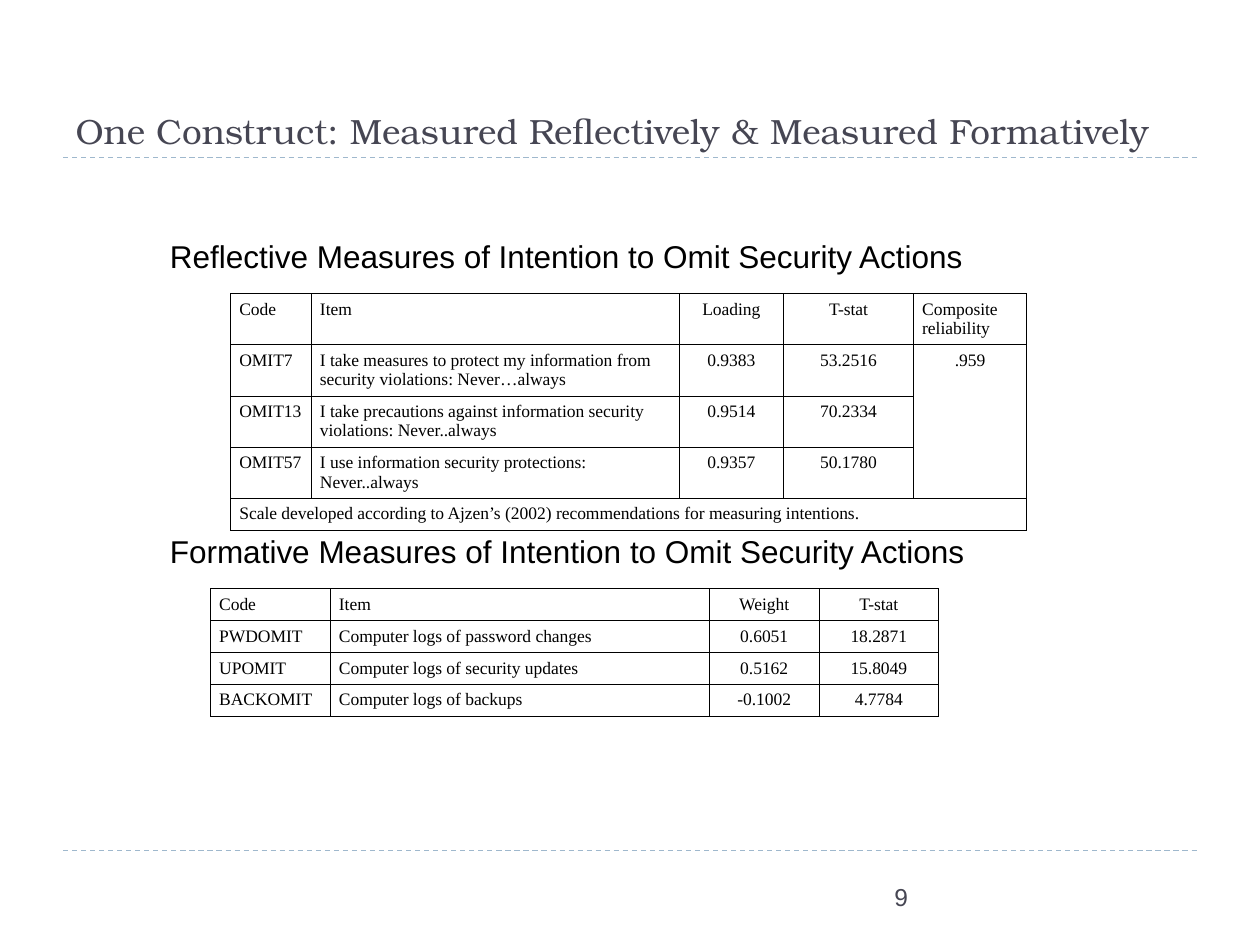
from lxml.etree import SubElement
from pptx import Presentation
from pptx.dml.color import RGBColor
from pptx.enum.dml import MSO_LINE
from pptx.enum.shapes import MSO_CONNECTOR
from pptx.enum.text import MSO_ANCHOR, MSO_AUTO_SIZE, PP_ALIGN
from pptx.oxml import parse_xml
from pptx.oxml.ns import nsdecls, qn
from pptx.util import Inches, Pt

COLORS = {"heading": "464653", "rule": "9FB8CD", "ink": "000000"}
SERIF, SANS, DISPLAY = "Times New Roman", "Arial", "TeX Gyre Bonum"
BORDER_WIDTH = Pt(0.45)

REFLECTIVE_ROWS = [
    ["Code", "Item", "Loading", "T-stat", "Composite reliability"],
    ["OMIT7", "I take measures to protect my information from security violations: Never…always",
     "0.9383", "53.2516", ".959"],
    ["OMIT13", "I take precautions against information security violations: Never..always",
     "0.9514", "70.2334", ""],
    ["OMIT57", "I use information security protections: Never..always",
     "0.9357", "50.1780", ""],
    ["Scale developed according to Ajzen’s (2002) recommendations for measuring intentions.",
     "", "", "", ""],
]
FORMATIVE_ROWS = [
    ["Code", "Item", "Weight", "T-stat"],
    ["PWDOMIT", "Computer logs of password changes", "0.6051", "18.2871"],
    ["UPOMIT", "Computer logs of security updates", "0.5162", "15.8049"],
    ["BACKOMIT", "Computer logs of backups", "-0.1002", "4.7784"],
]


def write_text(frame, text, font=SANS, size=18, color="ink", align=PP_ALIGN.LEFT,
               line_spacing=None):
    para = frame.paragraphs[0]
    para.alignment = align
    para.line_spacing = line_spacing
    span = para.add_run()
    span.text = text
    span.font.name = font
    span.font.size = Pt(size)
    span.font.color.rgb = RGBColor.from_string(COLORS[color])


def add_label(page, box, text, wrap=True, **text_format):
    frame = page.shapes.add_textbox(*map(Inches, box)).text_frame
    frame.word_wrap = wrap
    write_text(frame, text, **text_format)


def add_rule(page, left, top, width):
    rule = page.shapes.add_connector(
        MSO_CONNECTOR.STRAIGHT, Inches(left), Inches(top), Inches(left + width), Inches(top))
    rule.line.color.rgb = RGBColor.from_string(COLORS["rule"])
    rule.line.width = Pt(0.75)
    rule.line.dash_style = MSO_LINE.DASH
    SubElement(rule.element.spPr, qn("a:effectLst"))


def add_title(page, box, text):
    title = page.shapes.title
    title.left, title.top, title.width, title.height = map(Inches, box)
    frame = title.text_frame
    frame.vertical_anchor = MSO_ANCHOR.BOTTOM
    frame.auto_size = MSO_AUTO_SIZE.NONE
    frame.word_wrap = True
    write_text(frame, text, font=DISPLAY, size=20, color="heading")


def format_cell(cell):
    cell.margin_left = cell.margin_right = Inches(0.07)
    cell.margin_top = cell.margin_bottom = Inches(0.05)
    cell.fill.background()
    properties = cell._tc.get_or_add_tcPr()
    for position, side in enumerate(("lnL", "lnR", "lnT", "lnB")):
        properties.insert(position, parse_xml(
            f'<a:{side} {nsdecls("a")} w="{BORDER_WIDTH}"><a:solidFill>'
            f'<a:srgbClr val="{COLORS["ink"]}"/></a:solidFill></a:{side}>'))


def add_measure_table(page, left, top, widths, heights, rows, centered, merges=()):
    table = page.shapes.add_table(
        len(rows), len(widths), Inches(left), Inches(top),
        Inches(sum(widths)), Inches(sum(heights))).table
    table.first_row = table.horz_banding = False
    for column, width in zip(table.columns, widths):
        column.width = Inches(width)
    for row, height in zip(table.rows, heights):
        row.height = Inches(height)
    for first, last in merges:
        table.cell(*first).merge(table.cell(*last))
    for row_index, values in enumerate(rows):
        for column_index, value in enumerate(values):
            cell = table.cell(row_index, column_index)
            format_cell(cell)
            if value:
                align = PP_ALIGN.CENTER if centered(row_index, column_index) else PP_ALIGN.LEFT
                # Exact spacing keeps each row as tall as its lines
                write_text(cell.text_frame, value, font=SERIF, size=10, align=align,
                           line_spacing=Pt(11))


def add_reflective_section(page, left, top):
    add_label(page, (left, top, 6.51, 0.4),
              "Reflective Measures of Intention to Omit Security Actions", wrap=False)
    add_measure_table(
        page, left + 0.58, top + 0.5, [0.64, 2.92, 0.83, 1.03, 0.9], [0.4] * 4 + [0.25],
        REFLECTIVE_ROWS,
        centered=lambda row, column: column in (2, 3) or (row, column) == (1, 4),
        merges=[((1, 4), (3, 4)), ((4, 0), (4, 4))])


def add_formative_section(page, left, top):
    add_label(page, (left, top, 7.17, 0.4),
              "Formative Measures of Intention to Omit Security Actions")
    add_measure_table(
        page, left + 0.42, top + 0.5, [0.95, 3.01, 0.87, 0.95], [0.25] * 4,
        FORMATIVE_ROWS, centered=lambda row, column: column >= 2)


def main():
    deck = Presentation()
    deck.slide_width, deck.slide_height = Inches(10), Inches(7.5)
    page = deck.slides.add_slide(deck.slide_layouts[5])

    # Title, rules and page number
    add_title(page, (0.5, 0.17, 9, 1.08),
              "One Construct: Measured Reflectively & Measured Formatively")
    for top in (1.25, 6.75):
        add_rule(page, 0.5, top, 9)
    add_label(page, (7, 6.95, 2.5, 0.4), "9", size=14, color="heading")

    # Measures
    add_reflective_section(page, 1.25, 1.83)
    add_formative_section(page, 1.25, 4.17)

    deck.save("out.pptx")


if __name__ == "__main__":
    main()
